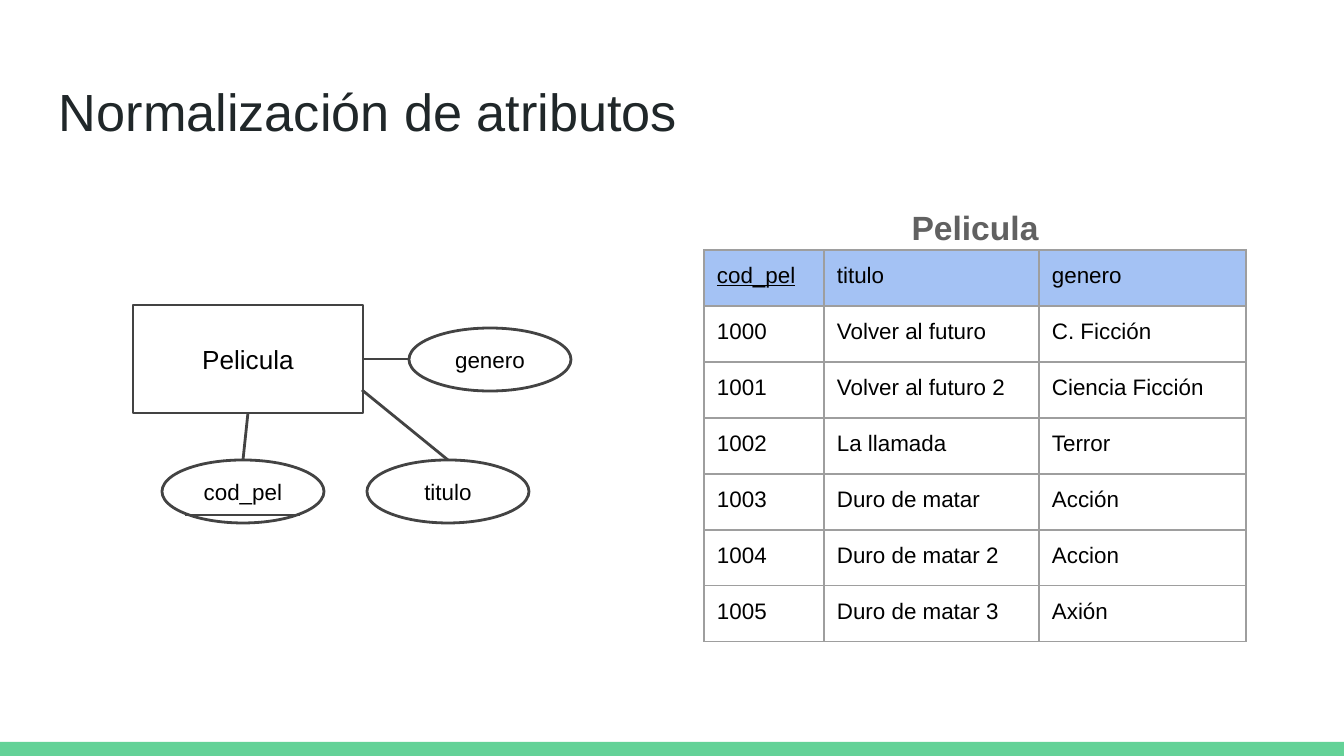
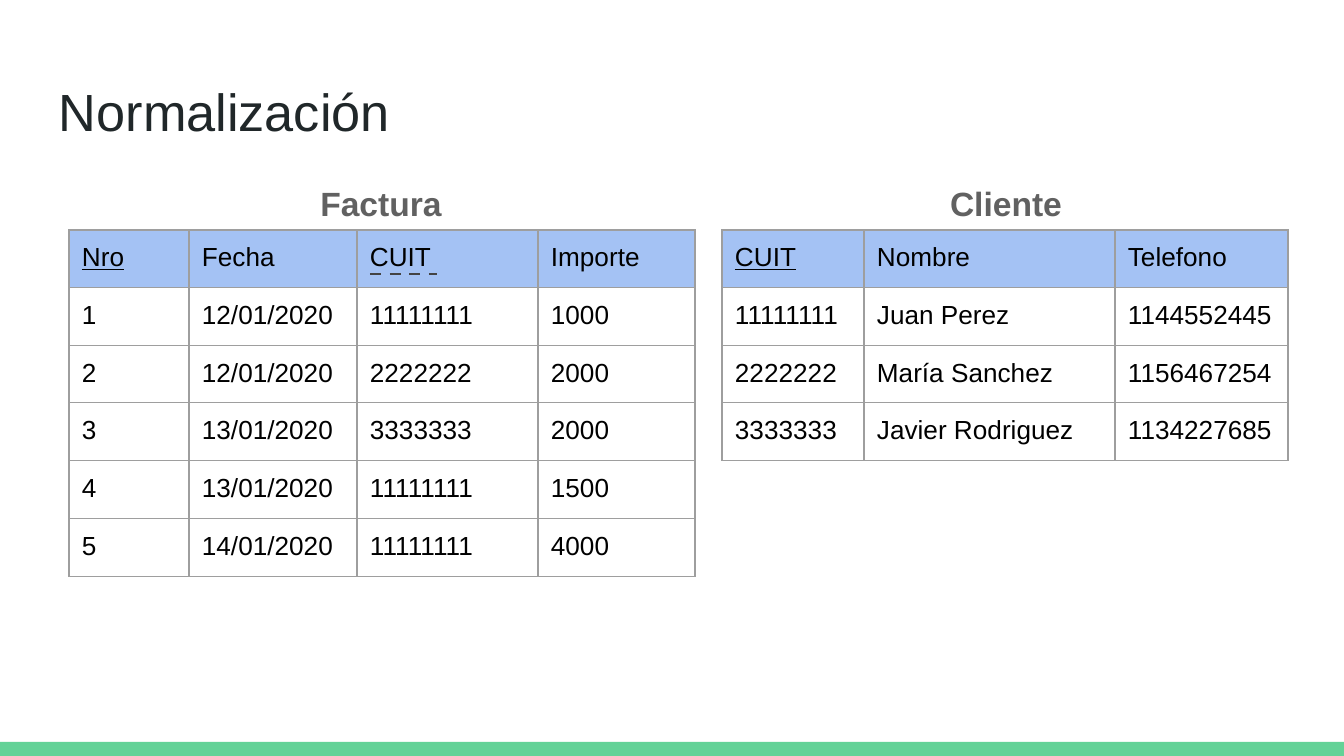
"""Build two slides on database normalization."""
from lxml import etree
from pptx import Presentation
from pptx.dml.color import RGBColor
from pptx.enum.dml import MSO_LINE
from pptx.enum.shapes import MSO_CONNECTOR, MSO_SHAPE
from pptx.enum.text import MSO_ANCHOR, PP_ALIGN
from pptx.oxml.ns import qn
from pptx.util import Pt

RECT, OVAL = MSO_SHAPE.RECTANGLE, MSO_SHAPE.OVAL
LINE, DASH = MSO_CONNECTOR.STRAIGHT, MSO_LINE.DASH
LEFT, MID = PP_ALIGN.LEFT, PP_ALIGN.CENTER
TOP, CENTER = MSO_ANCHOR.TOP, MSO_ANCHOR.MIDDLE
FONT = "Arial"
COLORS = {"band": "63D297", "title": "202729", "head": "A4C2F4", "grid": "9E9E9E",
          "ink": "434343", "text": "000000", "label": "616161"}
WIDE, HIGH = 1344, 756
BAND, INSET = 14, 13

ENTITY = ("Pelicula", (133, 305, 230, 108))
KEY = "cod_pel"
OVALS = {KEY: (162, 460), "titulo": (367, 460), "genero": (409, 328)}
OVAL_W, OVAL_H = 162, 63

SLIDES = [
    {"title": "Normalización de atributos", "tables": [
        {"name": "Pelicula", "at": (704, 250), "label": (652, 188), "size": 12,
         "cols": [120, 215, 207], "heights": [56] * 7,
         "rows": [("cod_pel", "titulo", "genero"),
                  ("1000", "Volver al futuro", "C. Ficción"),
                  ("1001", "Volver al futuro 2", "Ciencia Ficción"),
                  ("1002", "La llamada", "Terror"),
                  ("1003", "Duro de matar", "Acción"),
                  ("1004", "Duro de matar 2", "Accion"),
                  ("1005", "Duro de matar 3", "Axión")]}]},
    {"title": "Normalización", "tables": [
        {"name": "Factura", "at": (69, 230), "label": (58, 164), "size": 14,
         "cols": [120, 168, 181, 157], "heights": [57, 58, 56, 58, 58, 58],
         "rows": [("Nro", "Fecha", "CUIT", "Importe"),
                  ("1", "12/01/2020", "11111111", "1000"),
                  ("2", "12/01/2020", "2222222", "2000"),
                  ("3", "13/01/2020", "3333333", "2000"),
                  ("4", "13/01/2020", "11111111", "1500"),
                  ("5", "14/01/2020", "11111111", "4000")]},
        {"name": "Cliente", "at": (722, 230), "label": (683, 164), "size": 14,
         "cols": [142, 251, 173], "heights": [57, 58, 56, 58],
         "rows": [("CUIT", "Nombre", "Telefono"),
                  ("11111111", "Juan Perez", "1144552445"),
                  ("2222222", "María Sanchez", "1156467254"),
                  ("3333333", "Javier Rodriguez", "1134227685")]}]},
]


def px(*nums):
    return [round(num * 914400 / 134.4) for num in nums]


def rgb(name):
    return RGBColor.from_string(COLORS[name])


def write(frame, text, size=14, color="text", bold=False, under=False, align=LEFT):
    para = frame.paragraphs[0]
    para.alignment = align
    run = para.add_run()
    run.text = text
    font = run.font
    font.name, font.size, font.bold, font.underline = FONT, Pt(size), bold, under
    font.color.rgb = rgb(color)
    return para


def pad(area):
    area.margin_left = area.margin_right = area.margin_top = area.margin_bottom = px(INSET)[0]


def add_text(slide, box, text, **style):
    frame = slide.shapes.add_textbox(*px(*box)).text_frame
    frame.word_wrap = True
    frame.vertical_anchor = TOP
    pad(frame)
    return write(frame, text, **style)


def add_box(slide, kind, box, text, size):
    shape = slide.shapes.add_shape(kind, *px(*box))
    shape.shadow.inherit = False
    shape.fill.background()
    shape.line.color.rgb, shape.line.width = rgb("ink"), Pt(1.5)
    frame = shape.text_frame
    frame.word_wrap = True
    frame.vertical_anchor = CENTER
    pad(frame)
    write(frame, text, size=size, align=MID)
    return shape


def add_line(slide, start, end, dash=None):
    line = slide.shapes.add_connector(LINE, *px(*start, *end))
    line.line.color.rgb, line.line.width = rgb("ink"), Pt(1.5)
    if dash:
        line.line.dash_style = dash
    etree.SubElement(line._element.spPr, qn("a:effectLst"))
    return line


def add_edges(cell):
    props = cell._tc.get_or_add_tcPr()
    for at, side in enumerate(("lnL", "lnR", "lnT", "lnB")):
        edge = etree.Element(qn(f"a:{side}"), w=str(Pt(0.75)))
        fill = etree.SubElement(edge, qn("a:solidFill"))
        etree.SubElement(fill, qn("a:srgbClr"), val=COLORS["grid"])
        props.insert(at, edge)


def add_grid(slide, data):
    rows, cols, highs = data["rows"], data["cols"], data["heights"]
    box = px(*data["at"], sum(cols), sum(highs))
    table = slide.shapes.add_table(len(rows), len(cols), *box).table
    table.first_row = table.horz_banding = False
    for col, wide in zip(table.columns, px(*cols)):
        col.width = wide
    for row, high in zip(table.rows, px(*highs)):
        row.height = high
    for r, row in enumerate(rows):
        for c, text in enumerate(row):
            cell = table.cell(r, c)
            pad(cell)
            write(cell.text_frame, text, size=data["size"], under=r == c == 0)
            if r == 0:
                cell.fill.solid()
                cell.fill.fore_color.rgb = rgb("head")
            else:
                cell.fill.background()
            add_edges(cell)
    para = add_text(slide, (*data["label"], 646, 75), data["name"],
                    size=18, color="label", bold=True, align=MID)
    para.line_spacing, para.space_after = 1.15, Pt(16)


def add_model(slide):
    name, (x, y, w, h) = ENTITY
    entity = add_box(slide, RECT, (x, y, w, h), name, 14)
    for text, spot in OVALS.items():
        add_box(slide, OVAL, (*spot, OVAL_W, OVAL_H), text, 12)
    tops = {text: (left + OVAL_W // 2, top) for text, (left, top) in OVALS.items()}
    side = (OVALS["genero"][0], y + h // 2)
    add_line(slide, tops[KEY], (x + w // 2, y + h)).end_connect(entity, 2)
    add_line(slide, (x + w, y + h // 2), side).begin_connect(entity, 3)
    add_line(slide, tops["titulo"], (362, 390))
    add_line(slide, (185, 515), (300, 515))


def add_base(deck, title):
    slide = deck.slides.add_slide(deck.slide_layouts[6])
    band = slide.shapes.add_shape(RECT, *px(0, HIGH - BAND, WIDE, BAND))
    band.shadow.inherit = False
    band.fill.solid()
    band.fill.fore_color.rgb = rgb("band")
    band.line.fill.background()
    add_text(slide, (46, 66, 1253, 85), title, size=28, color="title")
    return slide


def main():
    deck = Presentation()
    deck.slide_width, deck.slide_height = px(WIDE, HIGH)
    pages = [add_base(deck, data["title"]) for data in SLIDES]
    add_model(pages[0])
    for page, data in zip(pages, SLIDES):
        for table in data["tables"]:
            add_grid(page, table)
    add_line(pages[1], (370, 274), (437, 274), dash=DASH)
    deck.save("out.pptx")


if __name__ == "__main__":
    main()
